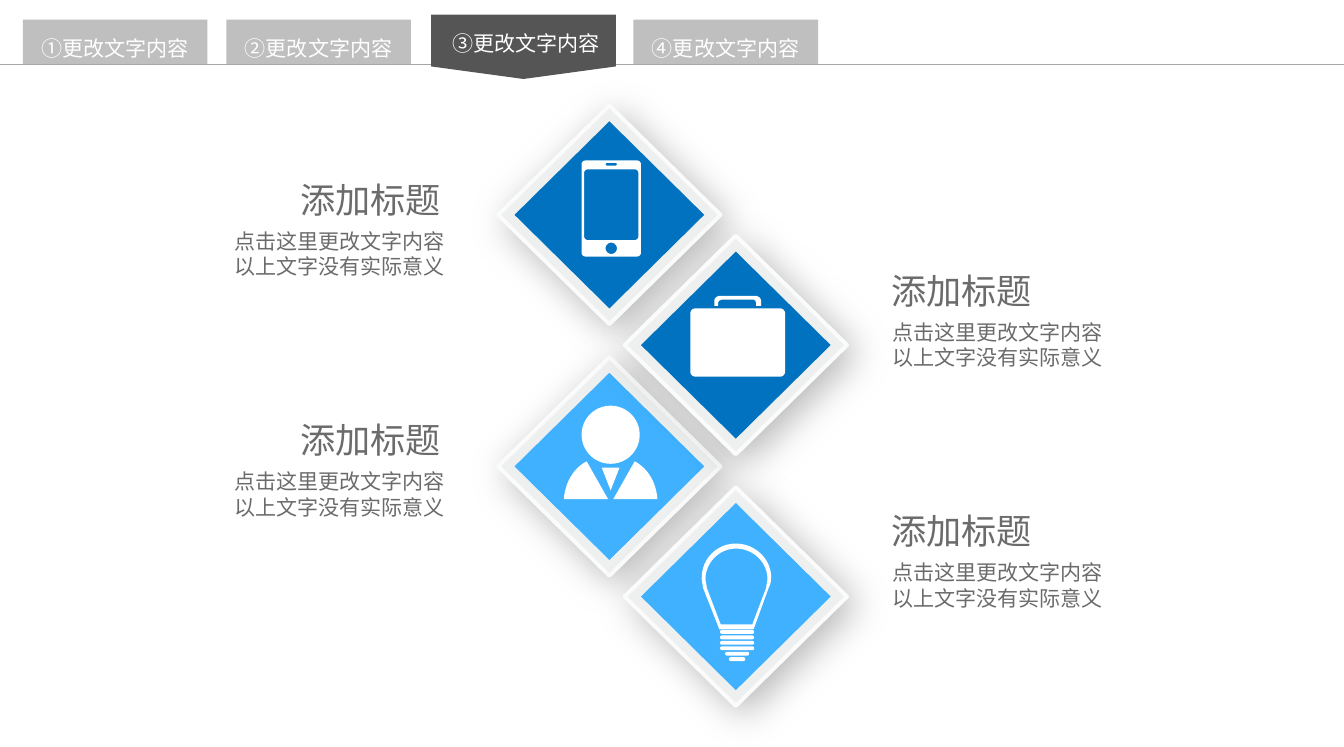
from dataclasses import dataclass
from math import cos, pi, sin

from lxml.etree import SubElement
from pptx import Presentation
from pptx.dml.color import RGBColor
from pptx.enum.shapes import MSO_CONNECTOR, MSO_SHAPE
from pptx.enum.text import MSO_AUTO_SIZE, PP_ALIGN
from pptx.oxml.ns import qn
from pptx.shapes.autoshape import Shape
from pptx.shapes.shapetree import GroupShapes, SlideShapes
from pptx.util import Inches, Pt

FONT = "Noto Sans CJK SC"
WHITE, GREY, DARK, TEXT = "FFFFFF", "BFBFBF", "555555", "6B6B6B"
BLUE, SKY = "0072BF", "3FB1FF"
Contour = list[tuple[float, float]]


@dataclass
class Caption:
    left: float
    top: float
    detail_shift: float
    align: PP_ALIGN


@dataclass
class Tab:
    label: str
    center: float
    label_center: float
    active: bool = False


@dataclass
class Tile:
    x: float
    y: float
    color: str


def color(value: str) -> RGBColor:
    return RGBColor.from_string(value)


def paint(shape: Shape, fill: str) -> Shape:
    shape.shadow.inherit = False
    shape.fill.solid()
    shape.fill.fore_color.rgb = color(fill)
    shape.line.fill.background()
    return shape


def add_preset(shapes: GroupShapes, kind: MSO_SHAPE, center: tuple[float, float],
               width: float, height: float, fill: str) -> Shape:
    x, y = center
    return paint(shapes.add_shape(kind, Inches(x - width / 2), Inches(y - height / 2),
                                  Inches(width), Inches(height)), fill)


def add_text(shapes: SlideShapes | GroupShapes, left: float, top: float, width: float,
             height: float, lines: list[str], size: int, fill: str, align: PP_ALIGN,
             inset: tuple[float, float], wrap: bool = True, spacing: float = 1.0) -> None:
    box = shapes.add_textbox(Inches(left), Inches(top), Inches(width), Inches(height))
    frame = box.text_frame
    frame.word_wrap = wrap
    frame.auto_size = MSO_AUTO_SIZE.SHAPE_TO_FIT_TEXT if inset[0] else MSO_AUTO_SIZE.NONE
    frame.margin_left = frame.margin_right = Inches(inset[0])
    frame.margin_top = frame.margin_bottom = Inches(inset[1])
    frame.text = "\n".join(lines)
    for para in frame.paragraphs:
        para.alignment = align
        para.line_spacing = spacing
        para.font.size = Pt(size)
        para.font.color.rgb = color(fill)
        para.font.name = FONT
        font_element = para._p.pPr.find(qn("a:defRPr"))
        SubElement(font_element, qn("a:ea"), typeface=FONT)


# Outlines
def rounded(left: float, top: float, width: float, height: float, radius: float) -> Contour:
    corners = [(left + width - radius, top + height - radius), (left + radius, top + height - radius),
               (left + radius, top + radius), (left + width - radius, top + radius)]
    return [(x + radius * cos(angle), y + radius * sin(angle))
            for quarter, (x, y) in enumerate(corners)
            for angle in [(quarter + step / 6) * pi / 2 for step in range(7)]]


def trace(start: tuple[float, float], *pieces: tuple[float, ...]) -> Contour:
    """Pieces of two numbers are straight lines, pieces of six are Bezier curves."""
    points = [start]
    for piece in pieces:
        if len(piece) == 2:
            points.append((piece[0], piece[1]))
            continue
        x0, y0 = points[-1]
        x1, y1, x2, y2, x3, y3 = piece
        for t in [step / 12 for step in range(1, 13)]:
            a, b, c, d = (1 - t) ** 3, 3 * t * (1 - t) ** 2, 3 * t * t * (1 - t), t ** 3
            points.append((a * x0 + b * x1 + c * x2 + d * x3, a * y0 + b * y1 + c * y2 + d * y3))
    return points


def add_outline(shapes: GroupShapes, *contours: Contour) -> None:
    builder = None
    for contour in contours:
        points = [(Inches(x), Inches(y)) for x, y in contour]
        if builder is None:
            builder = shapes.build_freeform(*points[0])
        else:
            builder.move_to(*points[0])
        builder.add_line_segments(points[1:], close=True)
    paint(builder.convert_to_shape(), WHITE)


# Icons
def draw_phone(shapes: GroupShapes) -> None:
    add_outline(shapes, rounded(4.6, 1.27, 0.47, 0.76, 0.03), rounded(4.79, 1.29, 0.09, 0.02, 0.01),
                rounded(4.79, 1.92, 0.09, 0.09, 0.045), rounded(4.62, 1.34, 0.43, 0.56, 0.03))


def draw_person(shapes: GroupShapes) -> None:
    shoulder = trace((4.64, 3.65), (4.53, 3.71, 4.47, 3.82, 4.46, 3.95), (4.81, 3.95))
    add_outline(shapes, shoulder)
    add_outline(shapes, [(2 * 4.83 - x, y) for x, y in shoulder])
    add_preset(shapes, MSO_SHAPE.OVAL, (4.83, 3.44), 0.46, 0.46, WHITE)
    add_outline(shapes, [(4.76, 3.7), (4.83, 3.88), (4.9, 3.7)])


def draw_briefcase(shapes: GroupShapes) -> None:
    add_outline(shapes, rounded(5.46, 2.44, 0.75, 0.54, 0.04))
    add_outline(shapes, trace(
        (5.68, 2.42), (5.68, 2.4), (5.68, 2.38, 5.7, 2.37, 5.72, 2.37), (5.95, 2.37),
        (5.97, 2.37, 5.98, 2.38, 5.98, 2.4), (5.98, 2.42), (6.02, 2.42), (6.02, 2.38),
        (6.02, 2.36, 6, 2.34, 5.97, 2.34), (5.7, 2.34), (5.67, 2.34, 5.65, 2.36, 5.65, 2.38),
        (5.65, 2.42)))


def draw_bulb(shapes: GroupShapes) -> None:
    glass = trace((5.82, 4.3), (5.67, 4.3, 5.55, 4.42, 5.55, 4.57), (5.55, 4.6, 5.56, 4.63, 5.56, 4.65),
                  (5.69, 4.98), (5.96, 4.98), (6.08, 4.65), (6.09, 4.63, 6.1, 4.6, 6.1, 4.57),
                  (6.1, 4.42, 5.97, 4.3, 5.82, 4.3))
    hollow = trace((6.06, 4.65), (5.95, 4.94), (5.7, 4.94), (5.59, 4.65),
                   (5.59, 4.63, 5.58, 4.6, 5.58, 4.58), (5.58, 4.45, 5.69, 4.34, 5.82, 4.34),
                   (5.96, 4.34, 6.07, 4.45, 6.07, 4.58), (6.07, 4.6, 6.06, 4.63, 6.06, 4.65))
    add_outline(shapes, glass, hollow)
    for row, width in enumerate([0.27, 0.27, 0.27, 0.27, 0.19, 0.13]):
        ring = add_preset(shapes, MSO_SHAPE.ROUNDED_RECTANGLE, (5.83, 5 + 0.043 * row), width, 0.03, WHITE)
        ring.adjustments[0] = 0.5


def add_tile(shapes: GroupShapes, tile: Tile) -> None:
    center = (tile.x, tile.y)
    frame = add_preset(shapes, MSO_SHAPE.DIAMOND, center, 1.76, 1.73, "EEF0F0")
    frame.line.color.rgb = color("FBFBFB")
    frame.line.width = Pt(2.25)
    effects = frame._element.spPr.find(qn("a:effectLst"))
    shadow = SubElement(effects, qn("a:outerShdw"), blurRad=str(Pt(22)), dist=str(Pt(6)),
                        dir="2700000", algn="tl", rotWithShape="0")
    black = SubElement(shadow, qn("a:srgbClr"), val="000000")
    SubElement(black, qn("a:alpha"), val="28000")
    add_preset(shapes, MSO_SHAPE.DIAMOND, center, 1.5, 1.48, tile.color)


def add_tab(shapes: GroupShapes, tab: Tab) -> None:
    length, middle, top = (0.51, 0.37, 0.2) if tab.active else (0.35, 0.33, 0.24)
    plate = add_preset(shapes, MSO_SHAPE.PENTAGON, (tab.center, middle), length, 1.46,
                       DARK if tab.active else GREY)
    plate.rotation = 90
    plate.adjustments[0] = 0.194 if tab.active else 0
    add_text(shapes, tab.label_center - 1.13, top, 2.26, 0.27, [tab.label], 12, WHITE,
             PP_ALIGN.CENTER, (0, 0), spacing=1.2)


def main() -> None:
    deck = Presentation()
    deck.slide_width, deck.slide_height = Inches(10.63), Inches(5.91)
    page = deck.slides.add_slide(deck.slide_layouts[6])

    # Diamond tiles with their icons
    for tile, draw_icon in [(Tile(4.82, 1.7, BLUE), draw_phone), (Tile(4.82, 3.69, SKY), draw_person),
                            (Tile(5.82, 2.73, BLUE), draw_briefcase), (Tile(5.82, 4.72, SKY), draw_bulb)]:
        group = page.shapes.add_group_shape().shapes
        add_tile(group, tile)
        draw_icon(group)

    # Captions beside the tiles
    for caption in [Caption(2.29, 1.37, -0.6, PP_ALIGN.CENTER), Caption(2.29, 3.27, -0.6, PP_ALIGN.CENTER),
                    Caption(6.97, 2.09, -0.01, PP_ALIGN.LEFT), Caption(6.97, 3.99, -0.01, PP_ALIGN.LEFT)]:
        add_text(page.shapes, caption.left, caption.top, 1.28, 0.42, ["添加标题"], 20, TEXT,
                 caption.align, (0.08, 0.04), wrap=False)
        add_text(page.shapes, caption.left + caption.detail_shift, caption.top + 0.39, 1.99, 0.5,
                 ["点击这里更改文字内容", "以上文字没有实际意义"], 12, TEXT, caption.align, (0.1, 0.05))

    # Navigation tabs on their base line
    bar = page.shapes.add_group_shape().shapes
    base = bar.add_connector(MSO_CONNECTOR.STRAIGHT, Inches(0), Inches(0.51), Inches(10.63), Inches(0.51))
    base.line.color.rgb = color("A6A6A6")
    base.line.width = Pt(0.75)
    SubElement(base._element.spPr, qn("a:effectLst"))
    for tab in [Tab("①更改文字内容", 0.91, 0.91), Tab("②更改文字内容", 2.52, 2.52),
                Tab("④更改文字内容", 5.74, 5.74), Tab("③更改文字内容", 4.14, 4.16, active=True)]:
        add_tab(page.shapes.add_group_shape().shapes if tab.active else bar, tab)

    deck.save("out.pptx")


if __name__ == "__main__":
    main()
